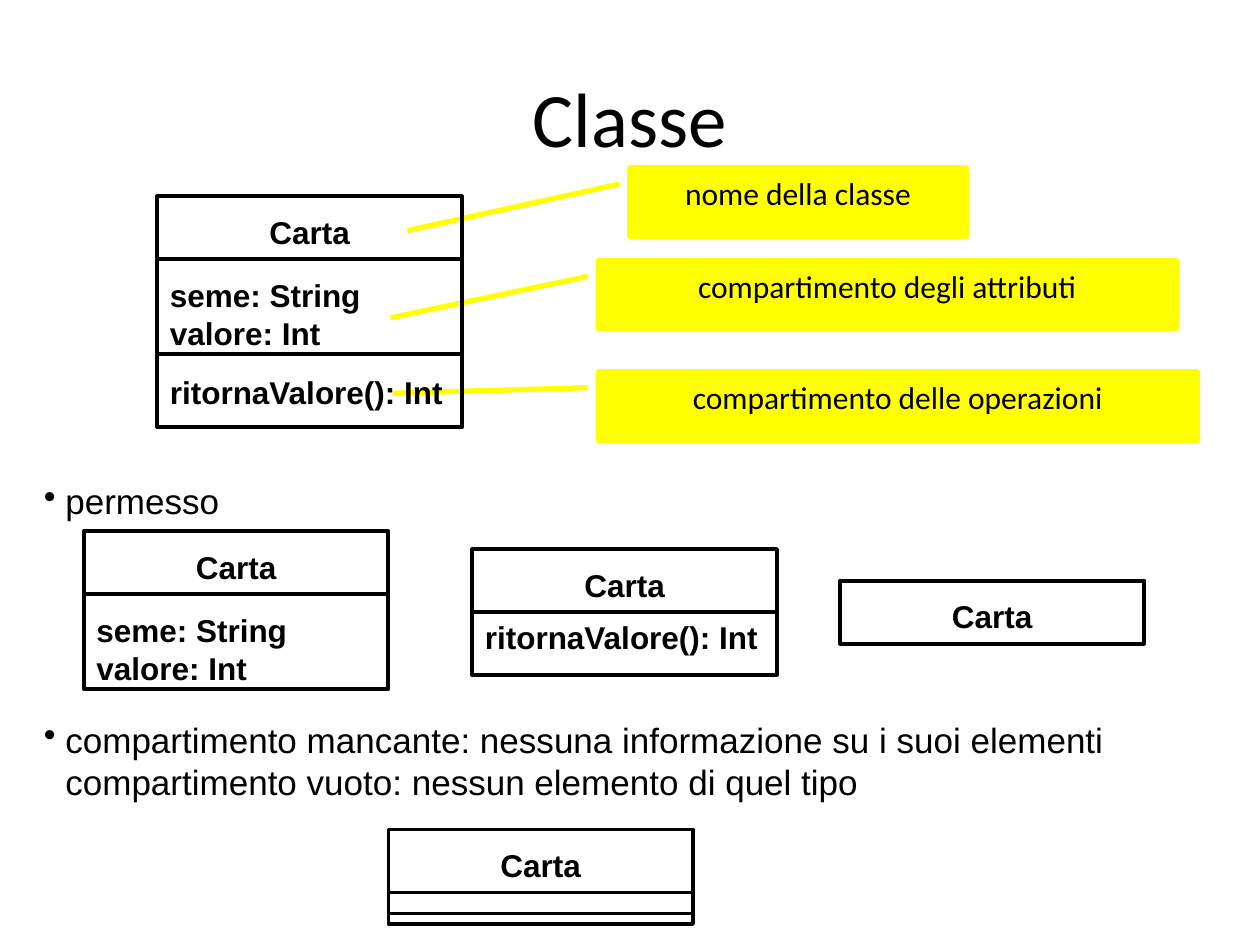
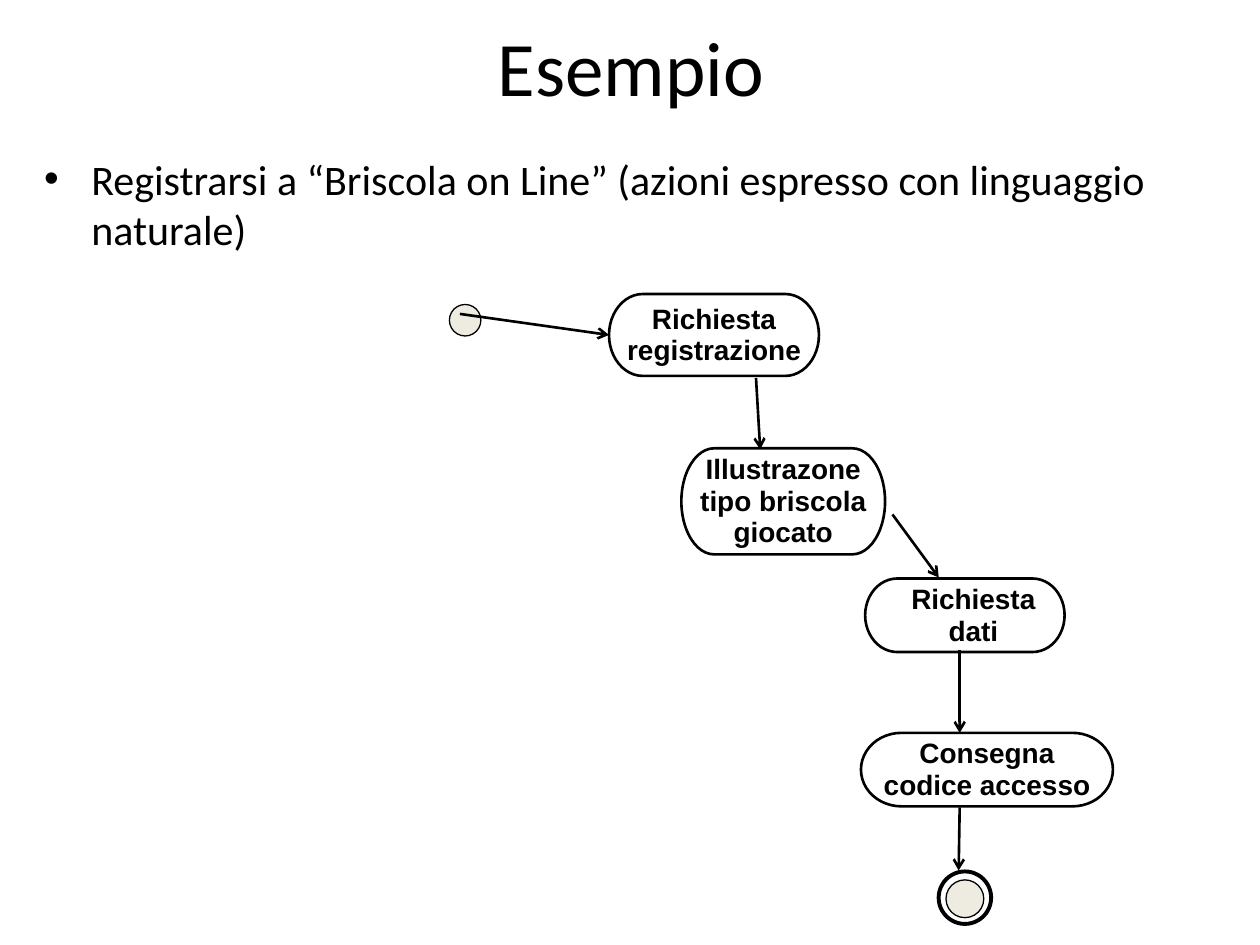
from dataclasses import dataclass

from lxml import etree
from pptx import Presentation
from pptx import util as u
from pptx.dml.color import RGBColor
from pptx.enum import shapes, text
from pptx.oxml import ns


@dataclass(frozen=True)
class Theme:
    ink: RGBColor = RGBColor(0, 0, 0)
    note: RGBColor = RGBColor(255, 255, 0)
    dot: RGBColor = RGBColor(0xEE, 0xEC, 0xE1)
    heading: str = "Calibri"
    diagram: str = "Arial"
    title: int = 44
    lead: int = 24
    bullet: int = 20
    label: int = 18
    activity: int = 16


theme = Theme()
deck = Presentation()
deck.slide_width, deck.slide_height = u.Inches(10), u.Inches(7.5)

# The grid has 120 columns and 90 rows of square cells
CELL = deck.slide_width // 120
PRESET = shapes.MSO_SHAPE
STRAIGHT = shapes.MSO_CONNECTOR.STRAIGHT
CENTER = text.PP_ALIGN.CENTER
TOP, MIDDLE = text.MSO_ANCHOR.TOP, text.MSO_ANCHOR.MIDDLE


def at(*cells):
    return [round(cell * CELL) for cell in cells]


def write(frame, paragraphs, size, font, bold=False, align=None, anchor=TOP):
    """Fill a text frame; a line feed inside a paragraph is a line break."""
    frame.word_wrap = True
    frame.auto_size = text.MSO_AUTO_SIZE.NONE
    frame.vertical_anchor = anchor
    for index, content in enumerate(paragraphs):
        paragraph = frame.add_paragraph() if index else frame.paragraphs[0]
        paragraph.alignment = align
        paragraph.space_before = u.Pt(0)
        for row, line in enumerate(content.split("\n")):
            if row:
                paragraph.add_line_break()
            run = paragraph.add_run()
            run.text = line
            run.font.size, run.font.name = u.Pt(size), font
            run.font.bold, run.font.color.rgb = bold, theme.ink


# Slides with their titles
class_slide = deck.slides.add_slide(deck.slide_layouts[5])
example_slide = deck.slides.add_slide(deck.slide_layouts[1])
for slide, heading, left, top in [(class_slide, "Classe", 6, 3.6),
                                  (example_slide, "Esempio", 6.1, -1.2)]:
    title = slide.shapes.title
    title.left, title.top, title.width, title.height = at(left, top, 108, 15)
    write(title.text_frame, [heading], theme.title, theme.heading,
          align=CENTER, anchor=MIDDLE)

outlines = []   # (shape, weight, line colour, fill colour)
lines = []      # (connector, weight, has arrowhead)

# Callouts naming the parts of a class
callouts = [
    ("compartimento degli attributi", 57, 24.8, 55, (0.235, -0.018, 0.843, -0.36)),
    ("nome della classe", 60, 16, 32, (0.235, -0.031, 0.918, -0.663)),
    ("compartimento delle operazioni", 57, 35.4, 57, (0.235, -0.018, 0.317, -0.344)),
]
for caption, left, top, width, pointer in callouts:
    callout = class_slide.shapes.add_shape(PRESET.LINE_CALLOUT_1,
                                           *at(left, top, width, 6.5))
    for index, value in enumerate(pointer):
        callout.adjustments[index] = value
    write(callout.text_frame, [caption], theme.label, theme.heading, align=CENTER)
    outlines.append((callout, 3, theme.note, theme.note))

# Class boxes: compartments are (height, text offset, members)
CLASS_WIDTH = 29
name = (6, 1, ["Carta"])
attributes = ["seme: String", "valore: Int"]
operations = ["ritornaValore(): Int"]
classes = [
    (15, 18.7, [name, (9, 1, attributes), (7, 1.2, operations)]),
    (8, 50.6, [name, (9, 1, attributes)]),
    (45, 52.3, [name, (6, 0, operations)]),
    (80, 55.3, [name]),
    (37, 79, [name, (2, 0, []), (1, 0, [])]),
]
for left, top, compartments in classes:
    total = sum(height for height, _, _ in compartments)
    frame = class_slide.shapes.add_shape(PRESET.RECTANGLE,
                                         *at(left, top, CLASS_WIDTH, total))
    outlines.append((frame, 2.25, theme.ink, None))
    row = top
    for index, (height, offset, members) in enumerate(compartments):
        if index:
            divider = class_slide.shapes.add_connector(
                STRAIGHT, *at(left, row, left + CLASS_WIDTH, row))
            lines.append((divider, 2.25, False))
        if members:
            label = class_slide.shapes.add_textbox(
                *at(left, row + offset, CLASS_WIDTH, 1.2 + 3.6 * len(members)))
            write(label.text_frame, members, theme.label, theme.diagram, bold=True,
                  align=None if index else CENTER)
        row += height

# Bulleted remarks between the class boxes
remarks = [
    (45.1, 5.2, ["permesso"]),
    (67.8, 9.2, ["compartimento mancante: nessuna informazione su i suoi elementi",
                 "compartimento vuoto: nessun elemento di quel tipo"]),
]
for top, height, sentences in remarks:
    remark = class_slide.shapes.add_textbox(*at(3, top, 110, height))
    write(remark.text_frame, sentences, theme.bullet, theme.diagram)
    for index, paragraph in enumerate(remark.text_frame.paragraphs):
        properties = paragraph._p.get_or_add_pPr()
        properties.set("marL", str(u.Inches(0.17)))
        properties.set("indent", str(0 if index else -u.Inches(0.17)))
        if index == 0:
            etree.SubElement(properties, ns.qn("a:buChar")).set("char", "•")

# Lead sentence of the example
lead = example_slide.placeholders[1]
lead.left, lead.top, lead.width, lead.height = at(3, 14, 113, 10)
write(lead.text_frame,
      ["Registrarsi a “Briscola on Line” (azioni espresso con linguaggio naturale)"],
      theme.lead, theme.heading)

# Activities: caption, place and sideways shift of the caption
activities = [
    ("Richiesta\nregistrazione", (58, 28, 20, 7.8), 0),
    ("Illustrazone\ntipo briscola\ngiocato", (64.9, 42.7, 19.4, 10.1), 0),
    ("Richiesta\ndati", (82.4, 55.1, 19, 7), 0.8),
    ("Consegna\ncodice accesso", (82, 69.8, 24, 7), 0),
]
steps = []
for caption, (left, top, width, height), shift in activities:
    step = example_slide.shapes.add_shape(PRESET.FLOWCHART_TERMINATOR,
                                          *at(left, top, width, height))
    steps.append(step)
    outlines.append((step, 1.5, theme.ink, None))
    label = example_slide.shapes.add_textbox(*at(left + shift, top, width, height))
    write(label.text_frame, [caption], theme.activity, theme.diagram, bold=True,
          align=CENTER, anchor=MIDDLE)
    label.text_frame.paragraphs[0].line_spacing = u.Pt(18)

# Start and end states
states = [(42.8, 29, 3, 0.75, theme.dot),
          (90.1, 83.8, 3.6, 0.75, theme.dot),
          (89.4, 83, 5, 2.25, None)]
for left, top, size, weight, fill in states:
    state = example_slide.shapes.add_shape(PRESET.OVAL, *at(left, top, size, size))
    outlines.append((state, weight, theme.ink, fill))

# Flow from the start state to the end state
flow = [(43.8, 29.9, 58, 31.9), (72, 36, 72.4, 42.8), (85, 49, 89.4, 55),
        (91.4, 61.9, 91.4, 69.8), (91.4, 76.9, 91.3, 82.9)]
arrows = [example_slide.shapes.add_connector(STRAIGHT, *at(*ends)) for ends in flow]
arrows[0].end_connect(steps[0], 1)
lines += [(arrow, 1.5, True) for arrow in arrows]

# Strokes and fills
for shape, weight, colour, fill in outlines:
    shape.shadow.inherit = False
    shape.line.width, shape.line.color.rgb = u.Pt(weight), colour
    if fill is None:
        shape.fill.background()
    else:
        shape.fill.solid()
        shape.fill.fore_color.rgb = fill
for line, weight, has_arrow in lines:
    line.line.width, line.line.color.rgb = u.Pt(weight), theme.ink
    if has_arrow:
        stroke = line.line._get_or_add_ln()
        etree.SubElement(stroke, ns.qn("a:tailEnd")).set("type", "arrow")
    etree.SubElement(line._element.spPr, ns.qn("a:effectLst"))

deck.save("out.pptx")
